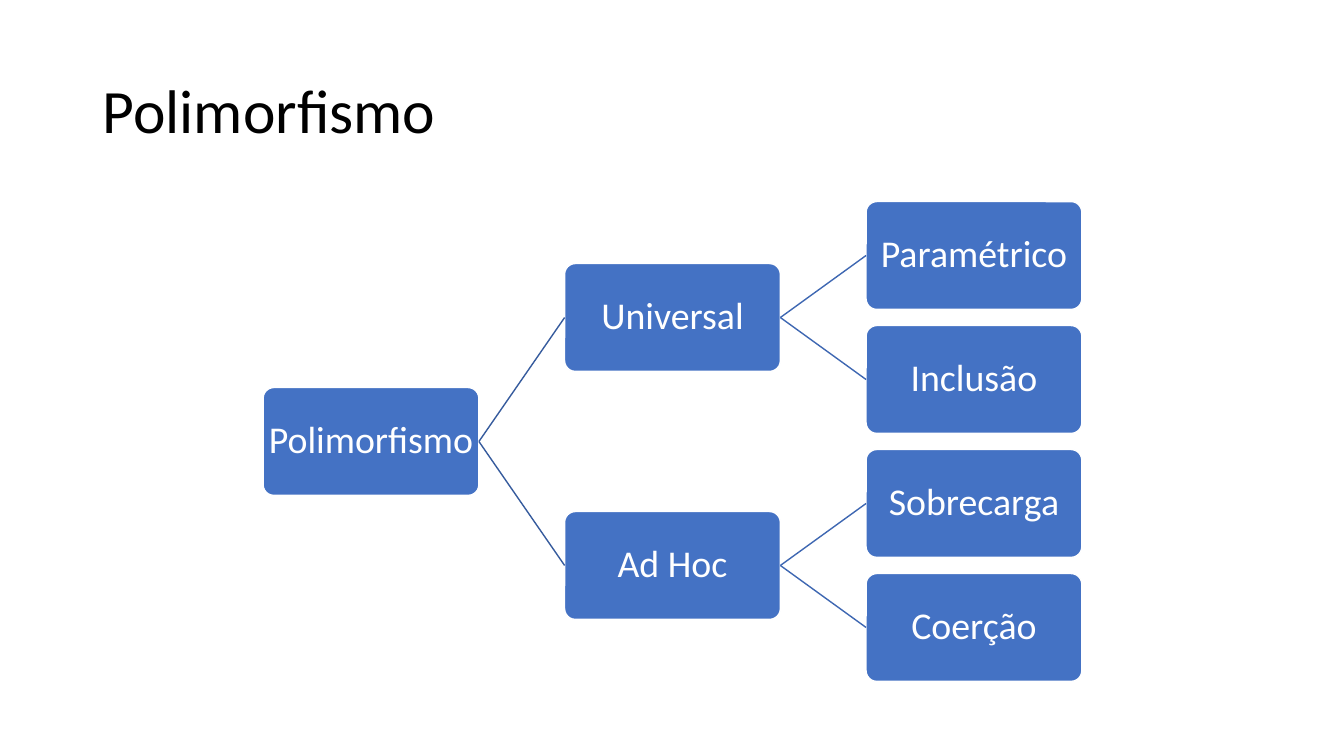
from pptx import Presentation
from pptx.dml.color import RGBColor
from pptx.enum.shapes import MSO_CONNECTOR as CONN, MSO_SHAPE as SHAPE
from pptx.enum.text import MSO_ANCHOR as ANCHOR, PP_ALIGN as ALIGN
from pptx.oxml.ns import qn
from pptx.util import Inches, Pt
from lxml import etree

BLACK = RGBColor(0x00, 0x00, 0x00)
WHITE = RGBColor(0xFF, 0xFF, 0xFF)
BLUE = RGBColor(0x44, 0x72, 0xC4)
LINES = [RGBColor(0x36, 0x5B, 0x9D), RGBColor(0x3E, 0x67, 0xB2)]

LEFT, TOP = 2.61, 2.0
BOX_W, BOX_H = 2.14, 1.07
COL_STEP, ROW_STEP = 2.99, 1.23
LEFT_SITE, RIGHT_SITE = 1, 3

TREE = ("Polimorfismo", [
    ("Universal", [("Paramétrico", []), ("Inclusão", [])]),
    ("Ad Hoc", [("Sobrecarga", []), ("Coerção", [])]),
])


class Deck:
    """Holds the style and the current slide, and draws each kind of element."""

    def __init__(self, prs, font="Calibri"):
        self.s = prs.slides.add_slide(prs.slide_layouts[6])
        self.font = font
        self.leaves = 0

    def label(self, sp, text, size, color, align, **frame):
        tf = sp.text_frame
        for name, value in {"vertical_anchor": ANCHOR.MIDDLE, **frame}.items():
            setattr(tf, name, value)
        p = tf.paragraphs[0]
        p.alignment, p.line_spacing = align, 0.9
        r = p.add_run()
        r.text = text
        for name, value in {"name": self.font, "size": Pt(size)}.items():
            setattr(r.font, name, value)
        r.font.color.rgb = color

    def title(self, text, x, y, w, h):
        sp = self.s.shapes.add_textbox(Inches(x), Inches(y), Inches(w), Inches(h))
        self.label(sp, text, 44, BLACK, ALIGN.LEFT, word_wrap=True)

    def box(self, text, x, y):
        sp = self.s.shapes.add_shape(SHAPE.ROUNDED_RECTANGLE, Inches(x), Inches(y),
                                     Inches(BOX_W), Inches(BOX_H))
        sp.adjustments[0] = 0.1
        sp.shadow.inherit = False
        sp.fill.solid()
        sp.fill.fore_color.rgb = BLUE
        sp.line.color.rgb = WHITE
        sp.line.width = Pt(1)
        margins = {f"margin_{side}": Inches(0.02)
                   for side in ("left", "top", "right", "bottom")}
        self.label(sp, text, 27, WHITE, ALIGN.CENTER, word_wrap=False, **margins)
        return sp

    def link(self, parent, child, color):
        c = self.s.shapes.add_connector(CONN.STRAIGHT, 0, 0, 0, 0)
        c.begin_connect(parent, RIGHT_SITE)
        c.end_connect(child, LEFT_SITE)
        c.line.color.rgb = color
        c.line.width = Pt(1)
        etree.SubElement(c._element.spPr, qn("a:effectLst"))

    def tree(self, node, level=0):
        """Draws a node centred on its children and returns its box and row."""
        text, children = node
        branches = [self.tree(child, level + 1) for child in children]
        if branches:
            row = sum(r for _, r in branches) / len(branches)
        else:
            row = self.leaves
            self.leaves += 1
        sp = self.box(text, LEFT + level * COL_STEP, TOP + row * ROW_STEP)
        for child, _ in branches:
            self.link(sp, child, LINES[level])
        return sp, row


prs = Presentation()
prs.slide_width, prs.slide_height = Inches(13.33), Inches(7.5)
deck = Deck(prs)
deck.title("Polimorfismo", 0.92, 0.4, 11.5, 1.45)
deck.tree(TREE)
prs.save("out.pptx")
